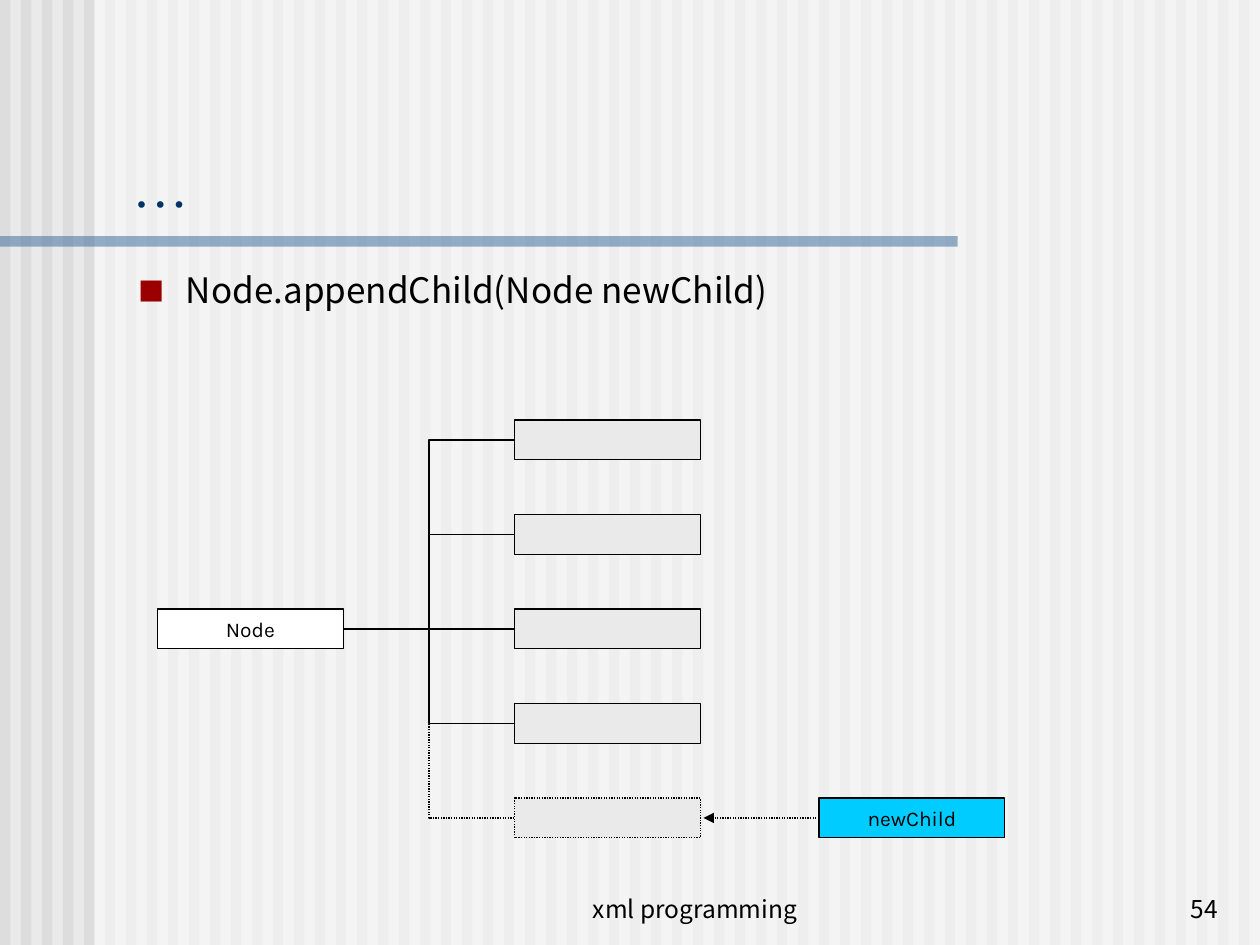
from lxml import etree
from pptx import Presentation
from pptx.dml.color import RGBColor
from pptx.enum.dml import MSO_LINE
from pptx.enum.shapes import MSO_CONNECTOR, MSO_SHAPE
from pptx.enum.text import MSO_ANCHOR, MSO_AUTO_SIZE, PP_ALIGN
from pptx.oxml import parse_xml
from pptx.oxml.ns import nsdecls, qn
from pptx.util import Pt

PX = 7620  # 120 px to the inch
SLIDE = (0, 0, 1200, 900)

BLACK = RGBColor(0x00, 0x00, 0x00)
WHITE = RGBColor(0xFF, 0xFF, 0xFF)
PAPER = RGBColor(0xEA, 0xEA, 0xEA)
STRIPE = RGBColor(0xDD, 0xDD, 0xDD)
RULE_BLUE = RGBColor(0x33, 0x66, 0x99)
TITLE_BLUE = RGBColor(0x00, 0x33, 0x66)
NEW_CYAN = RGBColor(0x00, 0xCC, 0xFF)
BULLET_RED = "9A0000"

SANS = "Noto Sans CJK KR"
SERIF = "Times New Roman"
LABEL = "Karla"

RECT = MSO_SHAPE.RECTANGLE
STRAIGHT, ELBOW = MSO_CONNECTOR.STRAIGHT, MSO_CONNECTOR.ELBOW
DOTTED = MSO_LINE.ROUND_DOT
LEFT, CENTER, RIGHT = PP_ALIGN.LEFT, PP_ALIGN.CENTER, PP_ALIGN.RIGHT
MIDDLE, BOTTOM = MSO_ANCHOR.MIDDLE, MSO_ANCHOR.BOTTOM
NO_FIT = MSO_AUTO_SIZE.NONE
SIDE_LEFT, SIDE_RIGHT = 1, 3


def emu(*lengths):
    return [round(length * PX) for length in lengths]


def set_all(target, values):
    for name, value in values.items():
        setattr(target, name, value)


def write(frame, text, font, size, color, align, anchor):
    set_all(frame, {"word_wrap": True, "auto_size": NO_FIT, "vertical_anchor": anchor})
    paragraph = frame.paragraphs[0]
    set_all(paragraph, {"alignment": align, "space_before": Pt(0)})
    run = paragraph.add_run()
    run.text = text
    set_all(run.font, {"name": font, "size": Pt(size), "bold": False})
    run.font.color.rgb = color
    return paragraph, run


def add_block(shapes, box, fill, alpha=None):
    """Borderless rectangle, optionally see-through."""
    block = shapes.add_shape(RECT, *emu(*box))
    block.shadow.inherit = False
    block.fill.solid()
    block.fill.fore_color.rgb = fill
    block.line.fill.background()
    if alpha is not None:
        color = block.element.spPr.find(".//" + qn("a:srgbClr"))
        etree.SubElement(color, qn("a:alpha")).set("val", str(alpha * 1000))


def add_backdrop(slide, box):
    left, top, width, height = box
    slide.background.fill.solid()
    slide.background.fill.fore_color.rgb = PAPER
    backdrop = slide.shapes.add_group_shape()
    for x in range(left, left + width, 20):
        add_block(backdrop.shapes, (x, top, 10, height), STRIPE)
    add_block(backdrop.shapes, (left + 90, top, width - 90, height), WHITE, 50)
    add_block(backdrop.shapes, (left, top + 225, 912, 10), RULE_BLUE, 50)
    # Behind the placeholders
    backdrop.element.getparent().insert(2, backdrop.element)


def place(shape, box):
    set_all(shape, dict(zip(("left", "top", "width", "height"), emu(*box))))


def add_heading(slide, box):
    title = slide.shapes.title
    place(title, box)
    _, run = write(title.text_frame, "…", SERIF, 32, TITLE_BLUE, LEFT, BOTTOM)
    properties = run.font._element
    properties.set("lang", "ko-KR")
    etree.SubElement(properties, qn("a:ea")).set("typeface", SANS)


def add_method(slide, box):
    body = slide.placeholders[1]
    place(body, box)
    paragraph, _ = write(body.text_frame, "Node.appendChild(Node newChild)",
                         SANS, 20, BLACK, LEFT, MSO_ANCHOR.TOP)
    properties = paragraph._p.get_or_add_pPr()
    indent = emu(45)[0]
    properties.set("marL", str(indent))
    properties.set("indent", str(-indent))
    for xml in (f'<a:buClr {nsdecls("a")}><a:srgbClr val="{BULLET_RED}"/></a:buClr>',
                f'<a:buSzPct {nsdecls("a")} val="75000"/>',
                f'<a:buFont {nsdecls("a")} typeface="{SANS}"/>',
                f'<a:buChar {nsdecls("a")} char="■"/>'):
        properties.append(parse_xml(xml))


def style_line(line, dash=None):
    line.color.rgb = BLACK
    line.width = Pt(0.75)
    if dash is not None:
        line.dash_style = dash


def add_node(slide, box, fill, text=None, dash=None):
    node = slide.shapes.add_shape(RECT, *emu(*box))
    node.shadow.inherit = False
    node.fill.solid()
    node.fill.fore_color.rgb = fill
    style_line(node.line, dash)
    if text:
        write(node.text_frame, text, LABEL, 12, BLACK, CENTER, MIDDLE)
    return node


def add_link(slide, kind, start, side, end_point, dash=None):
    link = slide.shapes.add_connector(kind, 0, 0, *end_point)
    link.begin_connect(start, side)
    style_line(link.line, dash)
    etree.SubElement(link.element.spPr, qn("a:effectLst"))
    return link


def add_tree(slide, box):
    left, top, _, _ = box
    width, height, step, count = 177, 38, 90, 5
    child_left = left + 340
    parent = add_node(slide, (left, top + 2 * step, width, height), WHITE, "Node")

    # Children; the last one is the place to be filled
    for row in range(count):
        y = top + row * step
        dash = DOTTED if row == count - 1 else None
        child = add_node(slide, (child_left, y, width, height), PAPER, dash=dash)
        kind = STRAIGHT if child.top == parent.top else ELBOW
        link = add_link(slide, kind, parent, SIDE_RIGHT,
                        emu(child_left, y + height / 2), dash)
        link.end_connect(child, SIDE_LEFT)

    # Incoming child
    y = top + (count - 1) * step
    new_child = add_node(slide, (left + 630, y, width, height), NEW_CYAN, "newChild")
    arrow = add_link(slide, STRAIGHT, new_child, SIDE_LEFT,
                     emu(left + 520, y + height / 2), DOTTED)
    etree.SubElement(arrow.line._get_or_add_ln(), qn("a:tailEnd")).set("type", "triangle")


def add_footer(slide, box):
    left, top, _, height = box
    for x, width, text, align in ((0, 380, "xml programming", CENTER),
                                  (450, 250, "54", RIGHT)):
        note = slide.shapes.add_textbox(*emu(left + x, top, width, height))
        write(note.text_frame, text, SANS, 14, BLACK, align, BOTTOM)


def main():
    deck = Presentation()
    deck.slide_width, deck.slide_height = emu(*SLIDE[2:])
    slide = deck.slides.add_slide(deck.slide_layouts[1])
    add_backdrop(slide, SLIDE)
    add_heading(slide, (114, 25, 1072, 189))
    add_method(slide, (120, 250, 1064, 550))
    add_tree(slide, (150, 400, 807, 398))
    add_footer(slide, (472, 825, 700, 60))
    deck.save("out.pptx")


if __name__ == "__main__":
    main()
